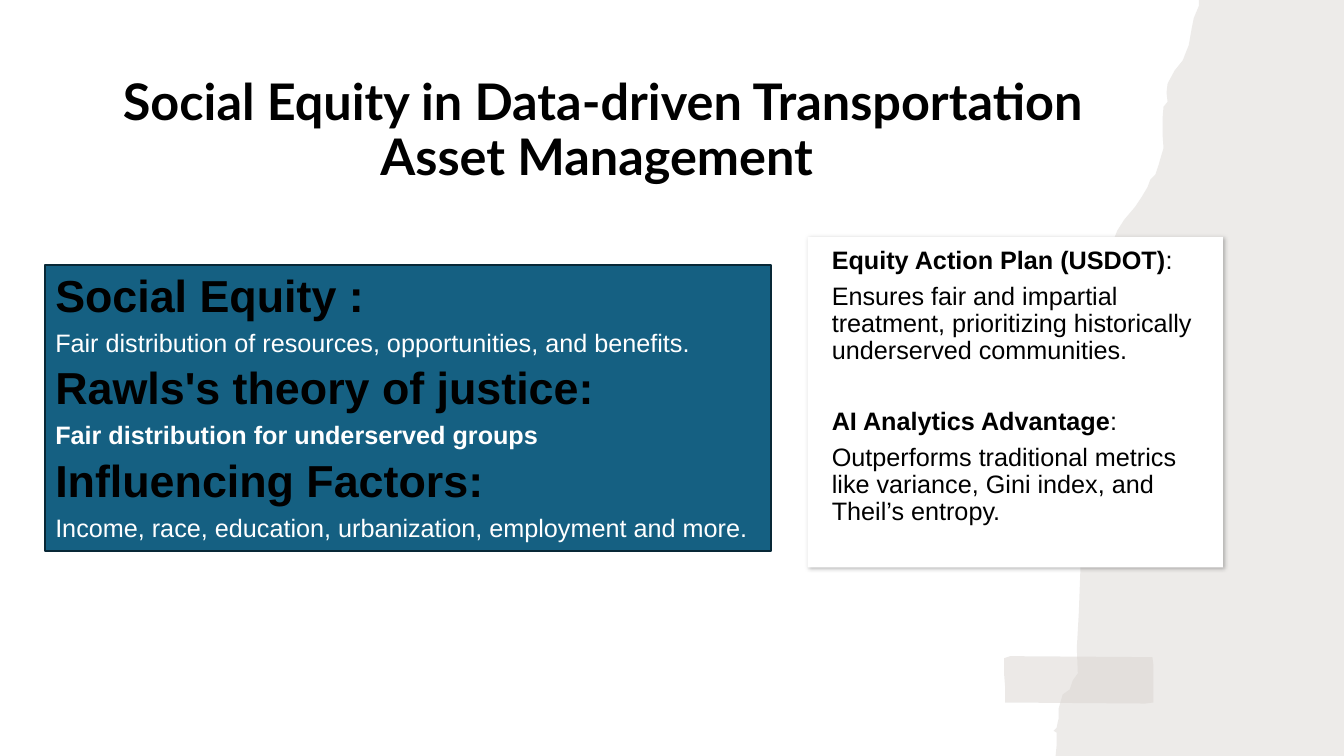
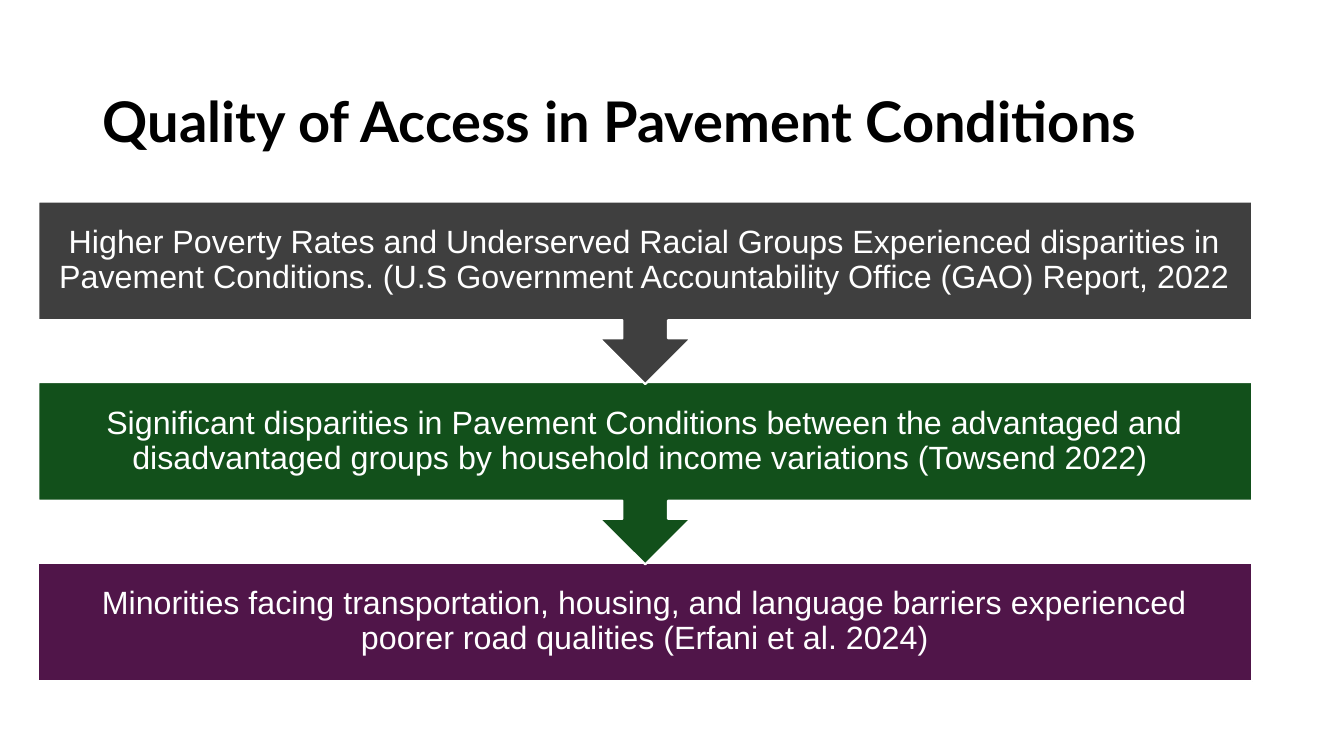
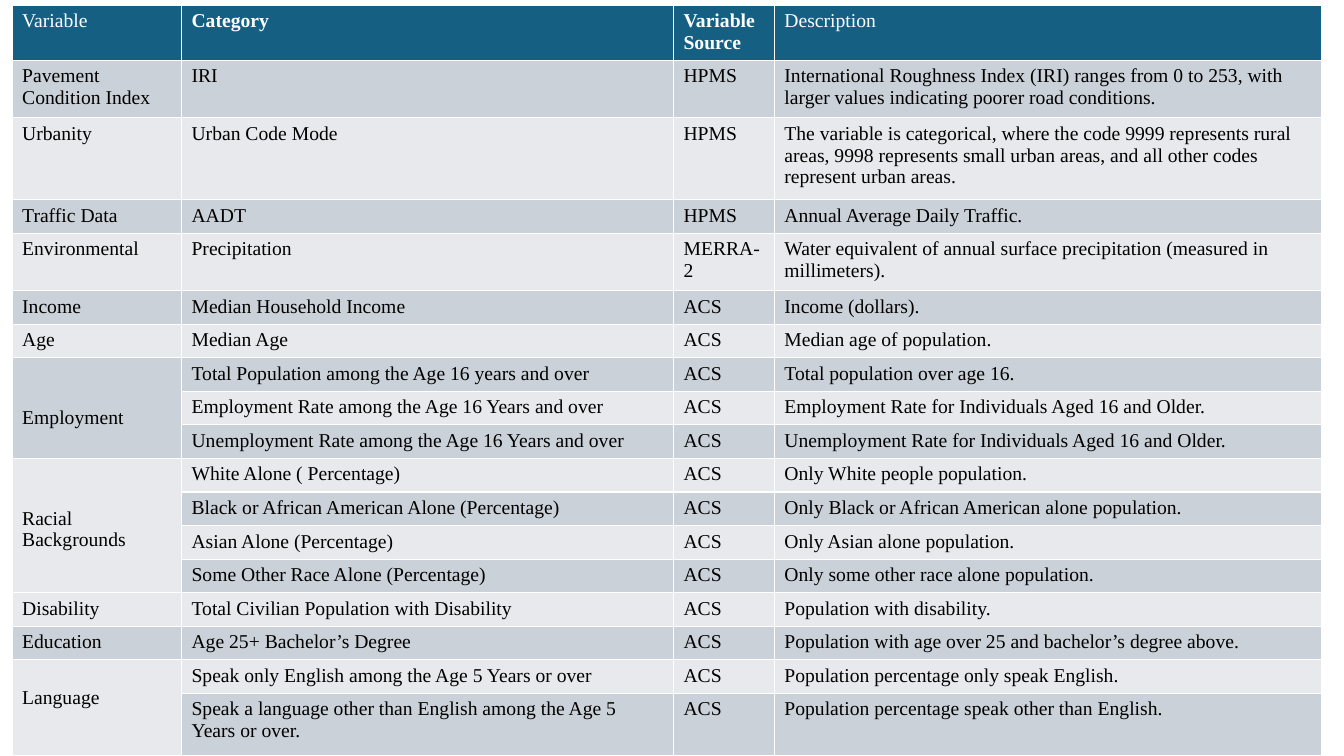
from lxml.etree import SubElement
from pptx import Presentation
from pptx.dml.color import RGBColor
from pptx.enum.shapes import MSO_SHAPE
from pptx.enum.text import MSO_ANCHOR, MSO_AUTO_SIZE, PP_ALIGN
from pptx.oxml.ns import qn
from pptx.util import Inches, Pt

BLACK, WHITE, BLUE = "000000", "FFFFFF", "156082"
BANDS = ("E7E9EC", "CAD1D8")


def color(hex_string):
    return RGBColor.from_string(hex_string)


def set_alpha(parent, percent):
    SubElement(parent, qn("a:alpha")).set("val", str(percent * 1000))


class Deck:
    """Holds the shared style and the slide being built."""

    title_font, body_font, table_font = "Lato", "Arial", "Times New Roman"
    line_spacing = 0.9

    def __init__(self):
        self.presentation = Presentation()
        self.presentation.slide_width = Inches(13.33)
        self.presentation.slide_height = Inches(7.5)
        self.slide = None

    def new_slide(self, titled=True):
        layout = self.presentation.slide_layouts[5 if titled else 6]
        self.slide = self.presentation.slides.add_slide(layout)

    def style(self, run, size, hex_string=BLACK, bold=False, font=None):
        run.font.name = font or self.body_font
        run.font.size = Pt(size)
        run.font.bold = bold
        run.font.color.rgb = color(hex_string)

    def title(self, text, left, top, width, height, size, align=PP_ALIGN.LEFT):
        heading = self.slide.shapes.title
        heading.left, heading.top = Inches(left), Inches(top)
        heading.width, heading.height = Inches(width), Inches(height)
        frame = heading.text_frame
        frame.text = text
        frame.auto_size = MSO_AUTO_SIZE.NONE
        frame.vertical_anchor = MSO_ANCHOR.MIDDLE
        paragraph = frame.paragraphs[0]
        paragraph.alignment = align
        paragraph.line_spacing = self.line_spacing
        self.style(paragraph.runs[0], size, bold=True, font=self.title_font)

    def block(self, left, top, width, height, fill, line=None,
              preset=MSO_SHAPE.RECTANGLE):
        shape = self.slide.shapes.add_shape(
            preset, Inches(left), Inches(top), Inches(width), Inches(height))
        self.paint(shape, fill)
        if line:
            shape.line.color.rgb = color(line)
            shape.line.width = Pt(1.5)
        return shape

    def paint(self, shape, fill, alpha=None):
        shape.shadow.inherit = False
        shape.fill.solid()
        shape.fill.fore_color.rgb = color(fill)
        shape.line.fill.background()
        if alpha:
            solid = shape._element.spPr.find(qn("a:solidFill"))
            set_alpha(solid.find(qn("a:srgbClr")), alpha)

    def outline(self, points, fill, alpha):
        start, *rest = [(Inches(x), Inches(y)) for x, y in points]
        builder = self.slide.shapes.build_freeform(*start)
        builder.add_line_segments(rest, close=True)
        self.paint(builder.convert_to_shape(), fill, alpha)

    def cast_shadow(self, shape):
        effects = shape._element.spPr.find(qn("a:effectLst"))
        shadow = SubElement(effects, qn("a:outerShdw"), blurRad=str(Pt(3)),
                            dist=str(Pt(1)), dir="3000000", rotWithShape="0")
        set_alpha(SubElement(shadow, qn("a:srgbClr"), val=BLACK), 25)

    def fill_text(self, shape, lines, insets=(0.1, 0.05, 0.1, 0.05),
                  anchor=MSO_ANCHOR.MIDDLE, align=PP_ALIGN.LEFT):
        """Each line is (space before, [(text, size, colour, bold), ...])."""
        frame = shape.text_frame
        frame.word_wrap = True
        frame.vertical_anchor = anchor
        (frame.margin_left, frame.margin_top, frame.margin_right,
         frame.margin_bottom) = map(Inches, insets)
        for index, (space, pieces) in enumerate(lines):
            paragraph = frame.add_paragraph() if index else frame.paragraphs[0]
            paragraph.alignment = align
            paragraph.line_spacing = self.line_spacing
            if index:
                paragraph.space_before = Pt(space)
            for text, *look in pieces:
                run = paragraph.add_run()
                run.text = text
                self.style(run, *look)

    def cell(self, cell, text, fill, hex_string=BLACK, bold=False):
        cell.fill.solid()
        cell.fill.fore_color.rgb = color(fill)
        if text:
            cell.text = text
            self.style(cell.text_frame.paragraphs[0].runs[0], 14, hex_string,
                       bold, self.table_font)

    def table(self, left, top, widths, heights, header, rows):
        table = self.slide.shapes.add_table(
            len(heights), len(widths), Inches(left), Inches(top),
            Inches(sum(widths)), Inches(sum(heights))).table
        table.horz_banding = False
        for column, width in zip(table.columns, widths):
            column.width = Inches(width)
        for row, height in zip(table.rows, heights):
            row.height = Inches(height)
        for index, (text, bold) in enumerate(header):
            self.cell(table.cell(0, index), text, BLUE, WHITE, bold)
        for number, row in enumerate(rows, 1):
            for index, text in enumerate(row):
                self.cell(table.cell(number, index), text, BANDS[number % 2])
        return table


TORN_EDGE = [
    (11.78, 0), (13.33, 0), (13.33, 7.5), (10.47, 7.5), (10.48, 7.39),
    (10.48, 7.27), (10.45, 7.25), (10.48, 7.22), (10.49, 7.17), (10.5, 7.13),
    (10.5, 7.03), (10.54, 6.89), (10.61, 6.84), (10.64, 6.75), (10.69, 6.68),
    (10.68, 6.43), (10.7, 6.08), (10.72, 5.54), (10.7, 5.15), (10.76, 4.55),
    (10.83, 3.35), (10.86, 2.94), (10.93, 2.76), (10.98, 2.55), (11.08, 2.29),
    (11.15, 2.18), (11.26, 2.05), (11.32, 1.96), (11.38, 1.86), (11.41, 1.78),
    (11.46, 1.73), (11.49, 1.64), (11.51, 1.57), (11.54, 1.47), (11.53, 1.33),
    (11.53, 1.18), (11.54, 1.06), (11.58, 1.01), (11.57, 0.92), (11.58, 0.83),
    (11.65, 0.7), (11.73, 0.6), (11.79, 0.45), (11.82, 0.28), (11.84, 0.18),
    (11.89, 0.06), (11.89, 0),
]
TAPE = [
    (9.96, 6.53), (10.02, 6.51), (11.43, 6.52), (11.44, 6.6), (11.44, 6.84),
    (11.44, 6.97), (11.36, 6.98), (9.97, 6.97), (9.97, 6.83), (9.96, 6.7),
]
DEFINITIONS = [
    ("Social Equity :",
     "Fair distribution of resources, opportunities, and benefits.", False),
    ("Rawls's theory of justice:",
     "Fair distribution for underserved groups", True),
    ("Influencing Factors:",
     "Income, race, education, urbanization, employment and more.", False),
]
# Heading, space before it, statement
POLICIES = [
    ("Equity Action Plan (USDOT)", 0,
     "Ensures fair and impartial treatment, prioritizing historically "
     "underserved communities."),
    ("AI Analytics Advantage", 31,
     "Outperforms traditional metrics like variance, Gini index, and "
     "Theil’s entropy."),
]
FINDINGS = [
    ("Higher Poverty Rates and Underserved Racial Groups Experienced "
     "disparities in Pavement Conditions. (U.S Government Accountability "
     "Office (GAO) Report, 2022 ", "3F3F3F"),
    ("Significant disparities in Pavement Conditions between the advantaged "
     "and disadvantaged groups by household income variations "
     "(Towsend 2022) ", "12501B"),
    ("Minorities facing transportation, housing, and language barriers "
     "experienced poorer road qualities (Erfani et al. 2024)", "501549"),
]
HEADER = [("Variable", False), ("Category", True), ("Variable Source", True),
          ("Description", False)]
VARIABLES = [
    ("Pavement Condition Index", "IRI", "HPMS",
     "International Roughness Index (IRI) ranges from 0 to 253, with larger "
     "values indicating poorer road conditions."),
    ("Urbanity", "Urban Code Mode", "HPMS",
     "The variable is categorical, where the code 9999 represents rural "
     "areas, 9998 represents small urban areas, and all other codes "
     "represent urban areas."),
    ("Traffic Data", "AADT", "HPMS", "Annual Average Daily Traffic."),
    ("Environmental", "Precipitation", "MERRA-2",
     "Water equivalent of annual surface precipitation (measured in "
     "millimeters)."),
    ("Income", "Median Household Income", "ACS", "Income (dollars)."),
    ("Age", "Median Age", "ACS", "Median age of population."),
    ("Employment", "Total Population among the Age 16 years and over", "ACS",
     "Total population over age 16."),
    ("", "Employment Rate among the Age 16 Years and over", "ACS",
     "Employment Rate for Individuals Aged 16 and Older."),
    ("", "Unemployment Rate among the Age 16 Years and over", "ACS",
     "Unemployment Rate for Individuals Aged 16 and Older."),
    ("Racial Backgrounds", "White Alone ( Percentage)", "ACS",
     "Only White people population."),
    ("", "Black or African American Alone (Percentage)", "ACS",
     "Only Black or African American alone population."),
    ("", "Asian Alone (Percentage)", "ACS", "Only Asian alone population."),
    ("", "Some Other Race Alone (Percentage)", "ACS",
     "Only some other race alone population."),
    ("Disability", "Total Civilian Population with Disability", "ACS",
     "Population with disability."),
    ("Education", "Age 25+ Bachelor’s Degree", "ACS",
     "Population with age over 25 and bachelor’s degree above."),
    ("Language", "Speak only English among the Age 5 Years or over", "ACS",
     "Population percentage only speak English."),
    ("", "Speak a language other than English among the Age 5 Years or over.",
     "ACS", "Population percentage speak other than English."),
]
# First row, last row, top inset of the merged group names
GROUPS = [(7, 9, 0.49), (10, 13, 0.49), (16, 17, 0.27)]
TALL_ROWS = {0: 0.55, 1: 0.57, 2: 0.81, 4: 0.57, 17: 0.62}


def equity_slide(deck):
    deck.new_slide()
    deck.outline(TORN_EDGE, "82766A", 14)
    deck.title("Social Equity in Data-driven Transportation Asset Management ",
               0.45, 0.61, 11.06, 1.39, 36, PP_ALIGN.CENTER)

    # Policy card
    card = deck.block(8.01, 2.35, 4.12, 3.28, WHITE)
    deck.cast_shadow(card)
    lines = []
    for heading, space, statement in POLICIES:
        lines.append((space, [(heading, 18, BLACK, True), (":", 18)]))
        lines.append((6, [(statement, 18)]))
    deck.fill_text(card, lines, (0.24, 0.11, 0.17, 0.05), MSO_ANCHOR.TOP)
    deck.outline(TAPE, "D9D4D0", 49)

    # Definitions
    definitions = deck.block(0.45, 2.63, 7.2, 2.84, BLUE, "082836")
    lines = []
    for term, meaning, bold in DEFINITIONS:
        lines.append((6, [(term, 32, BLACK, True)]))
        lines.append((6, [(meaning, 18, WHITE, bold)]))
    deck.fill_text(definitions, lines)


def access_slide(deck):
    deck.new_slide()
    deck.title("Quality of Access in Pavement Conditions",
               0.92, 0.61, 11.5, 1.24, 40)

    # Findings, lowest first so that each arrow tip lies on the next block
    last = len(FINDINGS) - 1
    for step, (finding, fill) in reversed(list(enumerate(FINDINGS))):
        height, preset = 1.81, MSO_SHAPE.DOWN_ARROW_CALLOUT
        if step == last:
            height, preset = 1.18, MSO_SHAPE.RECTANGLE
        block = deck.block(0.38, 2 + 1.79 * step, 12.04, height, fill, WHITE,
                           preset)
        if step < last:
            for index, value in enumerate((0.25, 0.25, 0.25, 0.65)):
                block.adjustments[index] = value
        deck.fill_text(block, [(0, [(finding, 23, WHITE)])], (0.18,) * 4,
                       align=PP_ALIGN.CENTER)


def variables_slide(deck):
    deck.new_slide(titled=False)
    count = len(VARIABLES) + 1
    single = (7.45 - sum(TALL_ROWS.values())) / (count - len(TALL_ROWS))
    heights = [TALL_ROWS.get(row, single) for row in range(count)]
    table = deck.table(0.12, 0.05, (1.68, 4.88, 1, 5.43), heights, HEADER,
                       VARIABLES)
    for first, final, inset in GROUPS:
        group = table.cell(first, 0)
        group.merge(table.cell(final, 0))
        group.margin_top = Inches(inset)


def main():
    deck = Deck()
    equity_slide(deck)
    access_slide(deck)
    variables_slide(deck)
    deck.presentation.save("out.pptx")


if __name__ == "__main__":
    main()
